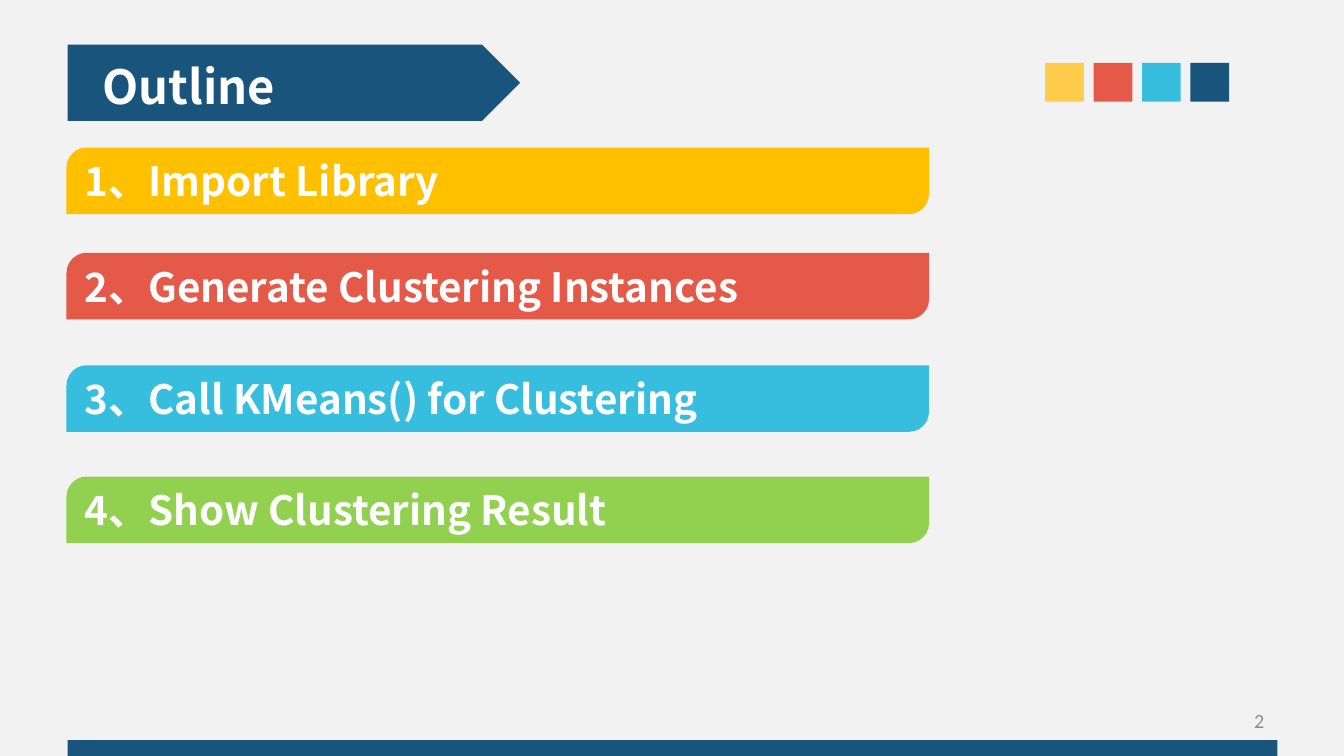
from dataclasses import dataclass

import pptx
import pptx.dml.color
import pptx.enum.shapes
import pptx.enum.text
import pptx.oxml
import pptx.oxml.ns
import pptx.shapes.autoshape
import pptx.slide
import pptx.text.text
import pptx.util

Inches = pptx.util.Inches
Shape = pptx.enum.shapes.MSO_SHAPE
Align = pptx.enum.text.PP_ALIGN
Anchor = pptx.enum.text.MSO_ANCHOR


@dataclass(frozen=True)
class Theme:
    background: str = "F2F2F2"
    navy: str = "19547C"
    yellow: str = "FFCC4C"
    amber: str = "FFC000"
    red: str = "E55948"
    cyan: str = "37BEDE"
    green: str = "92D050"
    white: str = "FFFFFF"
    gray: str = "8C8C8C"
    heading_font: str = "Noto Sans CJK SC"
    number_font: str = "Calibri"
    title_size: int = 28
    topic_size: int = 24
    number_size: int = 12


@dataclass(frozen=True)
class Area:
    left: float
    top: float
    width: float
    height: float

    def lengths(self) -> list[pptx.util.Length]:
        return [Inches(value) for value in (self.left, self.top, self.width, self.height)]


@dataclass(frozen=True)
class Style:
    font: str
    size: int
    color: str
    bold: bool = False


@dataclass(frozen=True)
class Topic:
    text: str
    top: float
    color: str


THEME = Theme()
TITLE = Style(THEME.heading_font, THEME.title_size, THEME.white, True)
TOPIC = Style(THEME.heading_font, THEME.topic_size, THEME.white, True)
NUMBER = Style(THEME.number_font, THEME.number_size, THEME.gray)

TOPICS = [
    Topic("Import Library", 1.22, THEME.amber),
    Topic("Generate Clustering Instances", 2.09, THEME.red),
    Topic("Call KMeans() for Clustering", 3.02, THEME.cyan),
    Topic("Show Clustering Result", 3.94, THEME.green),
]
SQUARE_COLORS = [THEME.yellow, THEME.red, THEME.cyan, THEME.navy]
SQUARE_STEP = 0.4


def rgb(color: str) -> pptx.dml.color.RGBColor:
    return pptx.dml.color.RGBColor.from_string(color)


def add_block(page: pptx.slide.Slide, kind: Shape, area: Area,
              color: str) -> pptx.shapes.autoshape.Shape:
    block = page.shapes.add_shape(kind, *area.lengths())
    block.shadow.inherit = False
    block.fill.solid()
    block.fill.fore_color.rgb = rgb(color)
    block.line.fill.background()
    return block


def write(frame: pptx.text.text.TextFrame, text: str, style: Style,
          anchor: Anchor = Anchor.MIDDLE, align: Align = Align.LEFT) -> None:
    frame.word_wrap = True
    frame.vertical_anchor = anchor
    para = frame.paragraphs[0]
    para.alignment = align
    span = para.add_run()
    span.text = text
    span.font.name = style.font
    span.font.size = pptx.util.Pt(style.size)
    span.font.bold = style.bold
    span.font.color.rgb = rgb(style.color)
    east_asian = pptx.oxml.parse_xml(
        f'<a:ea {pptx.oxml.ns.nsdecls("a")} typeface="{style.font}"/>')
    span.font._element.find(pptx.oxml.ns.qn("a:latin")).addnext(east_asian)


def add_topic(page: pptx.slide.Slide, number: int, topic: Topic) -> None:
    bar = add_block(page, Shape.ROUND_2_DIAG_RECTANGLE,
                    Area(0.55, topic.top, 7.13, 0.55), topic.color)
    bar.adjustments[0] = 0.3
    bar.adjustments[1] = 0
    write(bar.text_frame, f"{number}、{topic.text}", TOPIC)


def build() -> None:
    deck = pptx.Presentation()
    deck.slide_width = Inches(11.11)
    deck.slide_height = Inches(6.25)
    page = deck.slides.add_slide(deck.slide_layouts[6])
    page.background.fill.solid()
    page.background.fill.fore_color.rgb = rgb(THEME.background)

    add_block(page, Shape.PENTAGON, Area(0.56, 0.37, 3.74, 0.63), THEME.navy)
    title_box = page.shapes.add_textbox(*Area(0.75, 0.43, 1.97, 0.57).lengths())
    write(title_box.text_frame, "Outline", TITLE, Anchor.TOP)

    add_block(page, Shape.RECTANGLE, Area(0.56, 6.12, 10, 0.13), THEME.navy)
    for index, color in enumerate(SQUARE_COLORS):
        add_block(page, Shape.RECTANGLE,
                  Area(8.64 + index * SQUARE_STEP, 0.52, 0.32, 0.32), color)

    for number, topic in enumerate(TOPICS, start=1):
        add_topic(page, number, topic)

    number_box = page.shapes.add_textbox(*Area(7.96, 5.79, 2.59, 0.33).lengths())
    write(number_box.text_frame, "2", NUMBER, align=Align.RIGHT)
    deck.save("out.pptx")


build()
